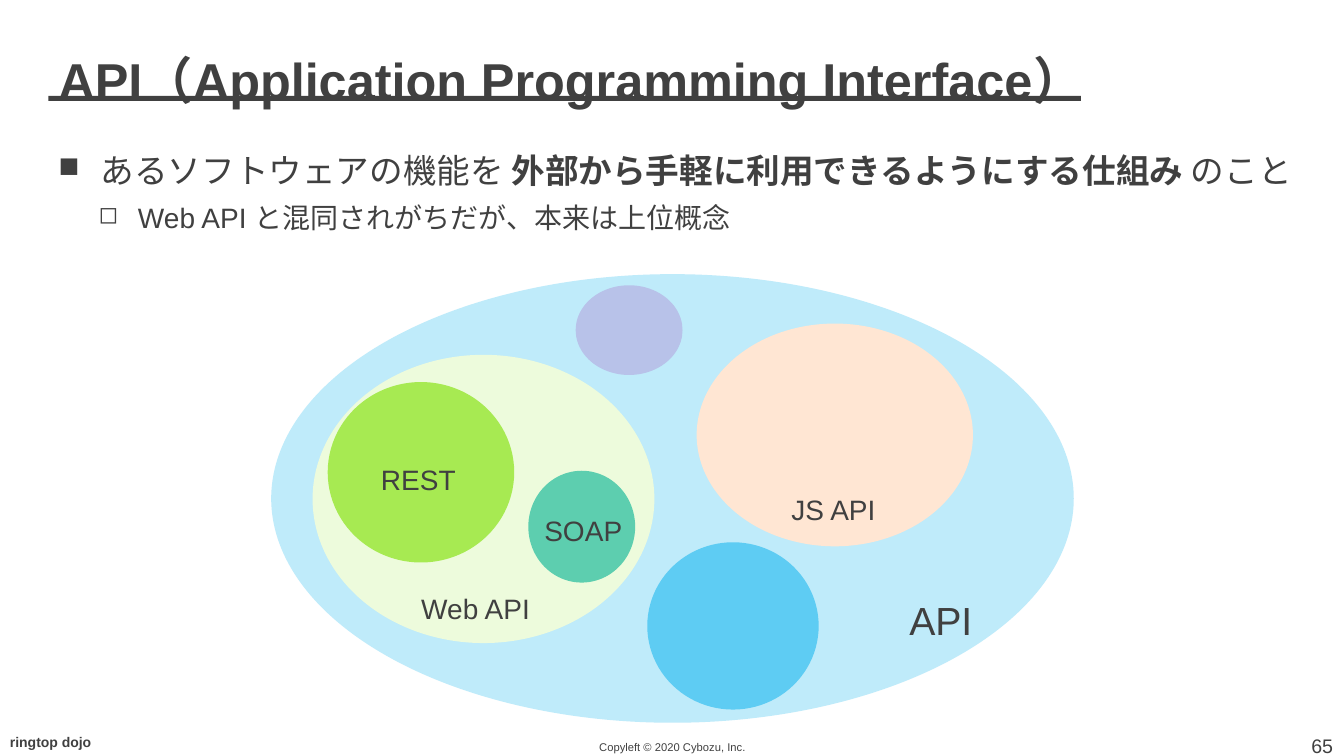
import pptx
import pptx.util
import pptx.dml.color
import pptx.enum.shapes
import pptx.enum.text
import pptx.oxml.ns
from dataclasses import dataclass
from lxml import etree

Inches = pptx.util.Inches
Pt = pptx.util.Pt
PP_ALIGN = pptx.enum.text.PP_ALIGN
MSO_ANCHOR = pptx.enum.text.MSO_ANCHOR
MSO_SHAPE = pptx.enum.shapes.MSO_SHAPE


@dataclass(frozen=True)
class Theme:
    font: str = "Arial"
    ink: str = "404040"
    api: str = "BFEBFA"
    web_api: str = "EDFBDC"
    js_api: str = "FFE6D3"
    other_blue: str = "5ECCF3"
    other_purple: str = "B8C2E9"
    rest: str = "A7EA52"
    soap: str = "5DCEAF"
    title: int = 36
    lead: int = 24
    label: int = 20
    api_label: int = 28
    page: int = 14
    footer: int = 10
    notice: int = 8


theme = Theme()


def add_run(paragraph, text, size, bold=False):
    run = paragraph.add_run()
    run.text = text
    run.font.name = theme.font
    run.font.size = Pt(size)
    run.font.bold = bold
    run.font.color.rgb = pptx.dml.color.RGBColor.from_string(theme.ink)


def add_filled(preset, box, color):
    shape = slide.shapes.add_shape(preset, *map(Inches, box))
    shape.shadow.inherit = False
    shape.fill.solid()
    shape.fill.fore_color.rgb = pptx.dml.color.RGBColor.from_string(color)
    shape.line.fill.background()


deck = pptx.Presentation()
deck.slide_width = Inches(13.33)
deck.slide_height = Inches(7.5)
slide = deck.slides.add_slide(deck.slide_layouts.get_by_name("Title Only"))

# Title and its underline
add_filled(MSO_SHAPE.RECTANGLE, (0.48, 0.95, 10.24, 0.05), theme.ink)
title = slide.shapes.title
title.left, title.top = Inches(0.48), Inches(0.39)
title.width, title.height = Inches(12.57), Inches(0.75)
title.text_frame.auto_size = pptx.enum.text.MSO_AUTO_SIZE.NONE
title.text_frame.vertical_anchor = MSO_ANCHOR.BOTTOM
heading = title.text_frame.paragraphs[0]
heading.alignment = PP_ALIGN.LEFT
add_run(heading, "API（Application Programming Interface）", theme.title, True)

# Bulleted explanation: bullet, indent, space before, size, runs
points = [
    ("■", 0.42, 0.42, 0, theme.lead,
     [("あるソフトウェアの機能を ", False),
      ("外部から手軽に利用できるようにする仕組み ", True),
      ("のこと", False)]),
    ("◻", 0.79, 0.39, 5, theme.label,
     [("Web API と混同されがちだが、本来は上位概念", False)]),
]
explanation = slide.shapes.add_textbox(
    Inches(0.48), Inches(1.44), Inches(12.57), Inches(1.1)).text_frame
explanation.word_wrap = True
for level, (bullet, margin, hang, before, size, runs) in enumerate(points):
    point = explanation.add_paragraph() if level else explanation.paragraphs[0]
    properties = point._p.get_or_add_pPr()
    properties.set("marL", str(Inches(margin)))
    properties.set("indent", str(-Inches(hang)))
    etree.SubElement(properties, pptx.oxml.ns.qn("a:buSzPct")).set("val", "85000")
    etree.SubElement(properties, pptx.oxml.ns.qn("a:buChar")).set("char", bullet)
    point.level = level
    point.space_before = Pt(before)
    point.space_after = Pt(2)
    for text, bold in runs:
        add_run(point, text, size, bold)

# Nested sets of API kinds, from back to front
api_sets = [
    ((2.69, 2.72, 7.96, 4.45), theme.api),
    ((3.1, 3.52, 3.39, 2.86), theme.web_api),
    ((6.91, 3.21, 2.74, 2.21), theme.js_api),
    ((6.42, 5.38, 1.7, 1.66), theme.other_blue),
    ((5.71, 2.83, 1.06, 0.89), theme.other_purple),
    ((3.25, 3.79, 1.85, 1.79), theme.rest),
    ((5.24, 4.67, 1.06, 1.11), theme.soap),
]
for box, color in api_sets:
    add_filled(MSO_SHAPE.OVAL, box, color)

# Set names, with no right inset so that each stays on one line
set_names = [
    ("API", (8.92, 5.87, 0.86, 0.57), theme.api_label),
    ("Web API", (4.08, 5.82, 1.36, 0.44), theme.label),
    ("JS API", (7.75, 4.84, 1.07, 0.44), theme.label),
    ("REST", (3.68, 4.54, 0.92, 0.44), theme.label),
    ("SOAP", (5.3, 5.05, 0.95, 0.44), theme.label),
]
for name, box, size in set_names:
    label = slide.shapes.add_textbox(*map(Inches, box)).text_frame
    label.word_wrap = False
    label.margin_right = 0
    add_run(label.paragraphs[0], name, size)

# Footer: course name, copyright line, page number
footers = [
    ("ringtop dojo", (0, 7.23, 1.81, 0.27), theme.footer, True,
     PP_ALIGN.LEFT, MSO_ANCHOR.TOP),
    ("Copyleft © 2020 Cybozu, Inc.", (4.42, 7.32, 4.5, 0.18), theme.notice, False,
     PP_ALIGN.CENTER, MSO_ANCHOR.MIDDLE),
    ("65", (11.57, 7.23, 1.75, 0.27), theme.page, False,
     PP_ALIGN.RIGHT, MSO_ANCHOR.TOP),
]
for text, box, size, bold, alignment, anchor in footers:
    footer = slide.shapes.add_textbox(*map(Inches, box)).text_frame
    footer.word_wrap = True
    footer.vertical_anchor = anchor
    footer.paragraphs[0].alignment = alignment
    add_run(footer.paragraphs[0], text, size, bold)

deck.save("out.pptx")
